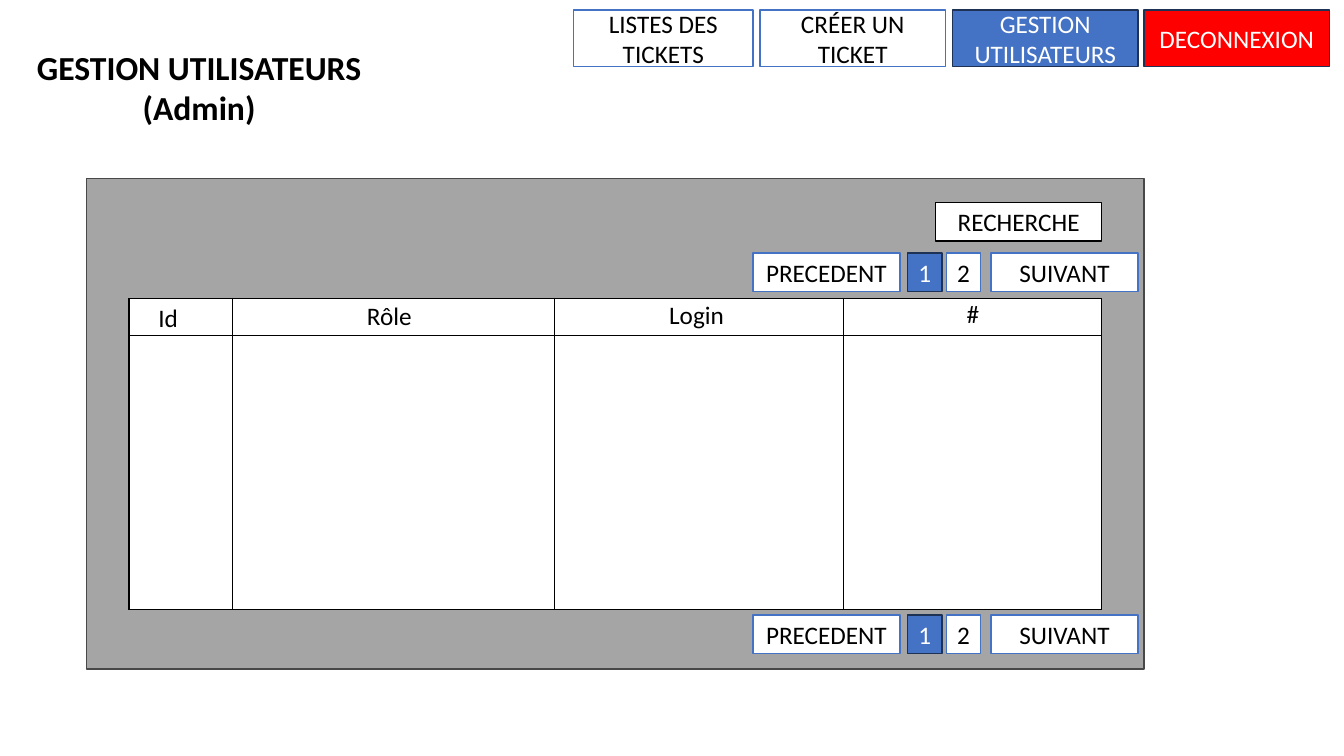
import pptx
import pptx.dml.color
import pptx.enum.shapes
import pptx.enum.text
import pptx.oxml
import pptx.oxml.ns
import pptx.util

Pt = pptx.util.Pt
ALIGN = pptx.enum.text.PP_ALIGN
ANCHOR = pptx.enum.text.MSO_ANCHOR
FONT = "Calibri"
HEX = {
    "white": "FFFFFF",
    "black": "000000",
    "blue": "4472C4",
    "navy": "1E3256",
    "red": "FF0000",
    "gray": "A5A5A5",
    "dark": "484848",
}


def color(name):
    return pptx.dml.color.RGBColor.from_string(HEX[name])


def write(par, text, ink="black", size=18, bold=False):
    run = par.add_run()
    run.text = text
    run.font.name = FONT
    run.font.size = Pt(size)
    run.font.bold = bold
    run.font.color.rgb = color(ink)


def title(slide, lines, left, top, width, height):
    box = slide.shapes.add_textbox(Pt(left), Pt(top), Pt(width), Pt(height))
    frame = box.text_frame
    frame.word_wrap = True
    frame.vertical_anchor = ANCHOR.BOTTOM
    for i, line in enumerate(lines):
        par = frame.add_paragraph() if i else frame.paragraphs[0]
        par.alignment = ALIGN.CENTER
        write(par, line, size=24, bold=True)


def panel(slide, left, top, width, height, fill, edge):
    kind = pptx.enum.shapes.MSO_SHAPE.RECTANGLE
    shape = slide.shapes.add_shape(kind, Pt(left), Pt(top), Pt(width), Pt(height))
    shape.shadow.inherit = False
    shape.fill.solid()
    shape.fill.fore_color.rgb = color(fill)
    shape.line.color.rgb = color(edge)
    shape.line.width = Pt(1)
    return shape


def button(slide, text, left, top, width, height, fill="white", edge="blue", ink="black"):
    frame = panel(slide, left, top, width, height, fill, edge).text_frame
    frame.word_wrap = True
    frame.vertical_anchor = ANCHOR.MIDDLE
    par = frame.paragraphs[0]
    par.alignment = ALIGN.CENTER
    write(par, text, ink)


def pager(slide, top):
    height = 27.4
    button(slide, "PRECEDENT", 537.8, top, 105.1, height)
    button(slide, "1", 648.3, top, 24.5, height, "blue", "navy", "white")
    button(slide, "2", 676.1, top, 24.5, height)
    button(slide, "SUIVANT", 707.8, top, 105.1, height)


def border(cell, side, width):
    space = pptx.oxml.ns.nsdecls("a")
    xml = (
        f'<a:{side} {space} w="{Pt(width)}"><a:solidFill>'
        f'<a:srgbClr val="{HEX["black"]}"/></a:solidFill></a:{side}>'
    )
    cell._tc.get_or_add_tcPr().append(pptx.oxml.parse_xml(xml))


def grid(slide, left, top, heads, rows):
    width = sum(head[1] for head in heads)
    frame = slide.shapes.add_table(
        len(rows), len(heads), Pt(left), Pt(top), Pt(width), Pt(sum(rows))
    )
    table = frame.table
    table.first_row = False
    table.horz_banding = False
    for r, height in enumerate(rows):
        table.rows[r].height = Pt(height)
        for c, (text, wide, indent, drop) in enumerate(heads):
            table.columns[c].width = Pt(wide)
            cell = table.cell(r, c)
            # Thick outer edges, thin inner rules
            outer = {
                "lnL": c == 0,
                "lnR": c == len(heads) - 1,
                "lnT": r == 0,
                "lnB": r == len(rows) - 1,
            }
            for side, edge in outer.items():
                border(cell, side, 1 if edge else 0.5)
            cell.fill.solid()
            cell.fill.fore_color.rgb = color("white")
            if r == 0:
                cell.margin_left = Pt(indent)
                cell.margin_top = Pt(drop)
                cell.margin_right = cell.margin_bottom = Pt(0)
                write(cell.text_frame.paragraphs[0], text)


def main():
    deck = pptx.Presentation()
    deck.slide_width = Pt(960)
    deck.slide_height = Pt(540)
    slide = deck.slides.add_slide(deck.slide_layouts[6])

    # Title
    title(slide, ["GESTION UTILISATEURS", "(Admin)"], 0, 0, 284.4, 94.3)

    # Menu
    menu = [
        ("LISTES DES TICKETS", 409.7, 128.2, "white", "blue", "black"),
        ("CRÉER UN TICKET", 542.9, 132.5, "white", "blue", "black"),
        ("GESTION UTILISATEURS", 680.4, 132.5, "blue", "navy", "white"),
        ("DECONNEXION", 817.2, 132.5, "red", "navy", "white"),
    ]
    for text, left, width, fill, edge, ink in menu:
        button(slide, text, left, 7.2, width, 40.3, fill, edge, ink)

    # Panel and search
    panel(slide, 61.9, 127.4, 755.3, 350.6, "gray", "dark")
    button(slide, "RECHERCHE", 668.2, 144.7, 118.8, 27.4, edge="black")

    # User list: label, column width, indent, drop
    heads = [
        ("Id", 73.4, 20.9, 3.6),
        ("Rôle", 230.4, 96.5, 2.2),
        ("Login", 206.6, 82, 1.4),
        ("#", 184.4, 87.8, 0.7),
    ]
    grid(slide, 92.2, 213.1, heads, [26.6, 195.8])

    # Page buttons above and below the list
    for top in (180.7, 439.2):
        pager(slide, top)

    deck.save("out.pptx")


if __name__ == "__main__":
    main()
